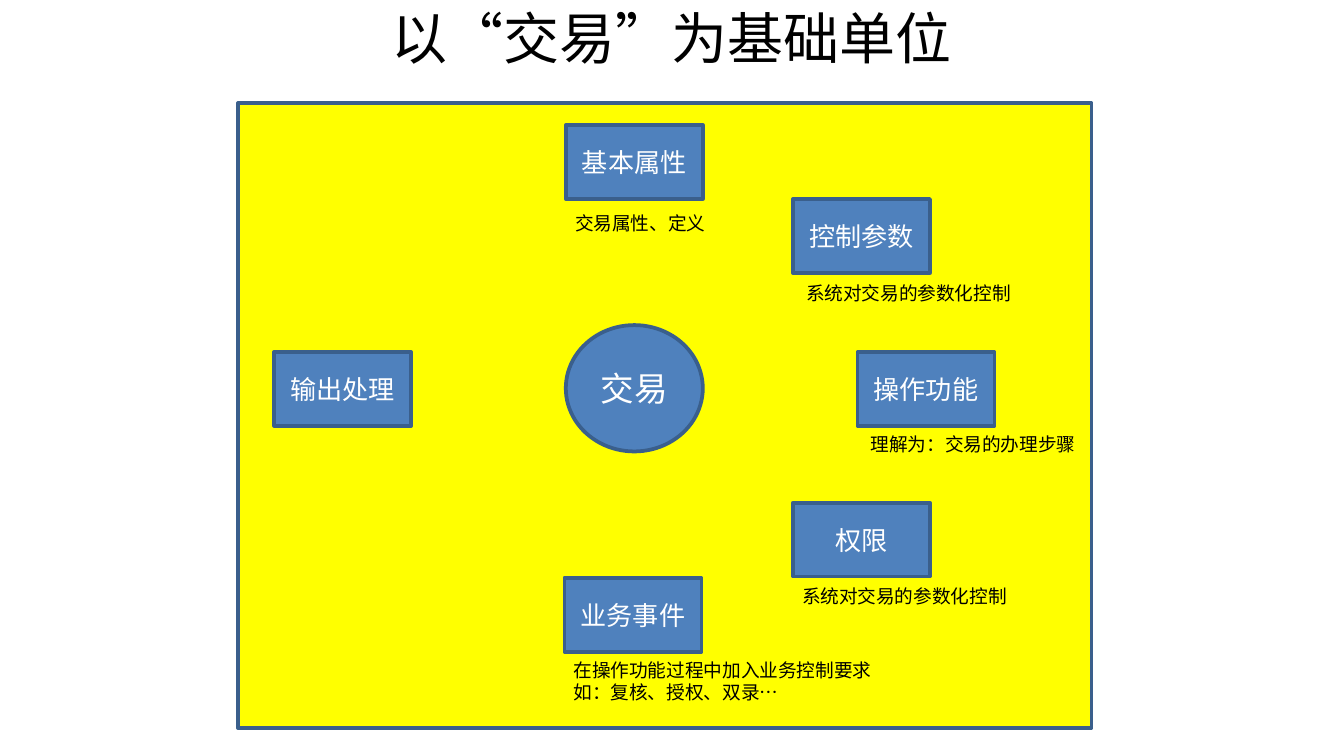
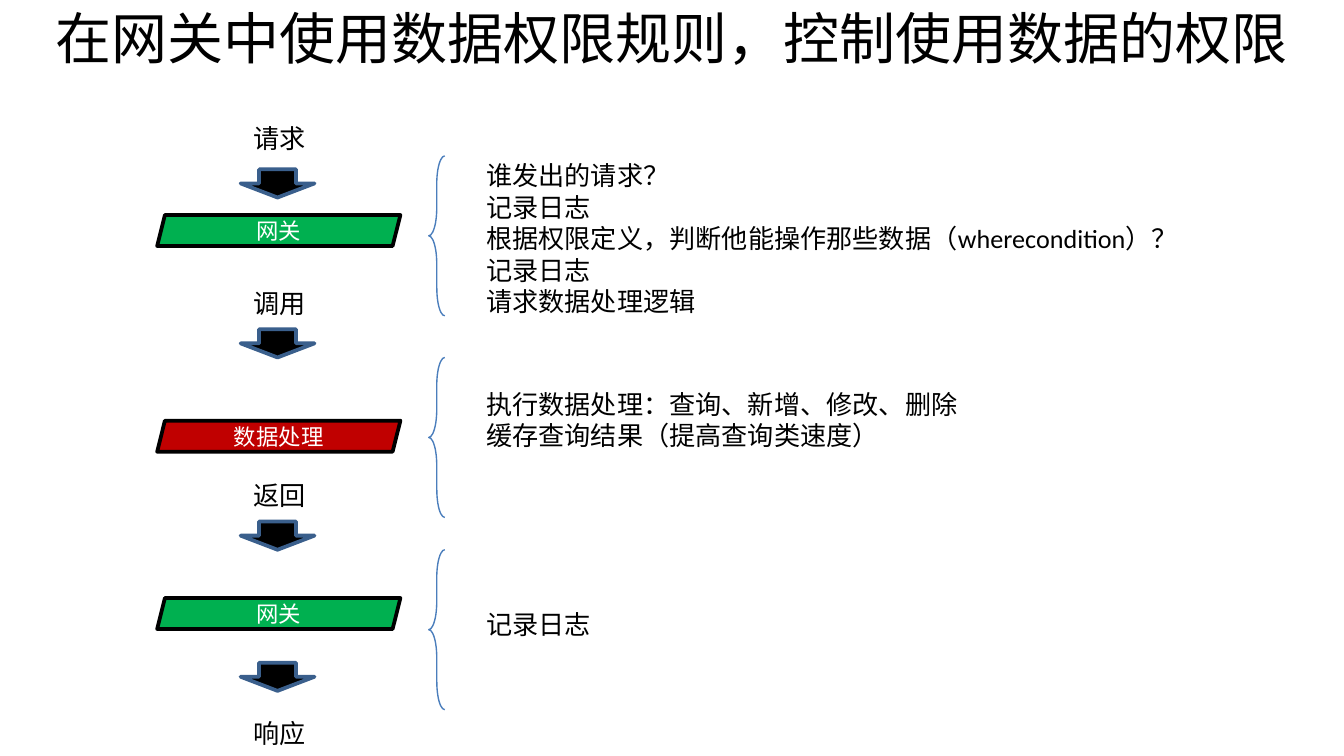
from pptx import Presentation
from pptx.dml.color import RGBColor
from pptx.enum.shapes import MSO_SHAPE
from pptx.enum.text import MSO_ANCHOR, MSO_AUTO_SIZE, PP_ALIGN
from pptx.util import Pt

BLACK = RGBColor(0, 0, 0)
WHITE = RGBColor(255, 255, 255)
YELLOW = RGBColor(255, 255, 0)
BLUE = RGBColor(0x4F, 0x81, 0xBD)
EDGE = RGBColor(0x3A, 0x5F, 0x8C)
BRACE = RGBColor(0x4B, 0x7E, 0xBC)
GREEN = RGBColor(0, 0xB0, 0x50)
RED = RGBColor(0xC0, 0, 0)
TITLE_FONT, BODY_FONT = "Noto Sans CJK SC", "Calibri"

TITLES = ["以“交易”为基础单位", "在网关中使用数据权限规则，控制使用数据的权限"]

PANEL = (127.5, 55.3, 457.2, 334.8)
CORE = ("交易", (303.1, 174.2, 73.4, 67.7))
NODE_SIZE = (73.4, 39.6)
NODES = [
    ("基本属性", 303.1, 67),
    ("控制参数", 424.8, 106.6),
    ("操作功能", 459.4, 188.6),
    ("权限", 424.8, 269.3),
    ("业务事件", 302.4, 309.6),
    ("输出处理", 146.9, 188.6),
]
NOTES = [
    (["交易属性、定义"], (301, 110.2, 85, 19.4)),
    (["系统对交易的参数化控制"], (424.8, 147.6, 125.3, 19.4)),
    (["理解为：交易的办理步骤"], (459.4, 228.2, 125.3, 19.4)),
    (["系统对交易的参数化控制"], (422.6, 309.6, 125.3, 19.4)),
    (["在操作功能过程中加入业务控制要求", "如：复核、授权、双录…"],
     (300.2, 349.2, 176.4, 31.7)),
]

FLOW_LEFT = 128.9
FLOW = [
    ("请求", 61.9, 90.7),
    ("调用", 150.5, 176.4),
    ("返回", 253.4, 279.4),
    ("响应", 380.9, 355),
]
STAGES = [
    ("网关", GREEN, 115.2, 83.5,
     ["谁发出的请求？", "记录日志",
      "根据权限定义，判断他能操作那些数据（wherecondition）？",
      "记录日志", "请求数据处理逻辑"], (82.1, 388.1, 92.2)),
    ("数据处理", RED, 225.4, 191.5,
     ["执行数据处理：查询、新增、修改、删除", "缓存查询结果（提高查询类速度）"],
     (204.5, 269.3, 41)),
    ("网关", GREEN, 320.4, 294.5, ["记录日志"], (322.6, 71.3, 24.5)),
]


def style(tf, size, color, font=BODY_FONT, align=None):
    for p in tf.paragraphs:
        p.alignment = align
        for r in p.runs:
            r.font.size = Pt(size)
            r.font.name = font
            r.font.color.rgb = color


def place(sp, box):
    sp.left, sp.top, sp.width, sp.height = [Pt(v) for v in box]


def new_slide(prs, title):
    s = prs.slides.add_slide(prs.slide_layouts[5])
    place(s.shapes.title, (0, 0, 720, 39.6))
    tf = s.shapes.title.text_frame
    tf.text = title
    tf.auto_size = MSO_AUTO_SIZE.NONE
    tf.vertical_anchor = MSO_ANCHOR.MIDDLE
    style(tf, 30, BLACK, TITLE_FONT, PP_ALIGN.CENTER)
    return s


def add_box(s, kind, box, fill=None, line=EDGE, width=2, text="", size=14):
    sp = s.shapes.add_shape(kind, *[Pt(v) for v in box])
    sp.shadow.inherit = False
    if fill is None:
        sp.fill.background()
    else:
        sp.fill.solid()
        sp.fill.fore_color.rgb = fill
    sp.line.color.rgb = line
    sp.line.width = Pt(width)
    if text:
        sp.text_frame.text = text
        sp.text_frame.vertical_anchor = MSO_ANCHOR.MIDDLE
        style(sp.text_frame, size, WHITE, align=PP_ALIGN.CENTER)
    return sp


def add_label(s, lines, box, size):
    tf = s.shapes.add_textbox(*[Pt(v) for v in box]).text_frame
    tf.text = "\n".join(lines)
    tf.word_wrap = False
    tf.auto_size = MSO_AUTO_SIZE.SHAPE_TO_FIT_TEXT
    style(tf, size, BLACK)


def transaction_slide(prs):
    s = new_slide(prs, TITLES[0])
    add_box(s, MSO_SHAPE.RECTANGLE, PANEL, YELLOW)
    text, box = CORE
    add_box(s, MSO_SHAPE.OVAL, box, BLUE, text=text, size=18)
    for text, x, y in NODES:
        add_box(s, MSO_SHAPE.RECTANGLE, (x, y, *NODE_SIZE), BLUE, text=text)
    for lines, box in NOTES:
        add_label(s, lines, box, 10)


def gateway_slide(prs):
    s = new_slide(prs, TITLES[1])
    for text, label_top, arrow_top in FLOW:
        add_box(s, MSO_SHAPE.DOWN_ARROW, (FLOW_LEFT, arrow_top, 39.6, 15.1), BLACK)
        add_label(s, [text], (FLOW_LEFT, label_top, 42.5, 24.5), 14)
    for text, color, top, brace_top, lines, (y, w, h) in STAGES:
        add_box(s, MSO_SHAPE.PARALLELOGRAM, (84.2, top, 130.3, 16.6), color,
                BLACK, text=text, size=12)
        brace = add_box(s, MSO_SHAPE.LEFT_BRACE, (229.7, brace_top, 8.6, 85.7),
                        line=BRACE, width=0.75)
        brace.adjustments[0] = 1.75
        add_label(s, lines, (253.4, y, w, h), 14)


def main():
    prs = Presentation()
    prs.slide_width, prs.slide_height = Pt(720), Pt(405)
    transaction_slide(prs)
    gateway_slide(prs)
    prs.save("out.pptx")


if __name__ == "__main__":
    main()
